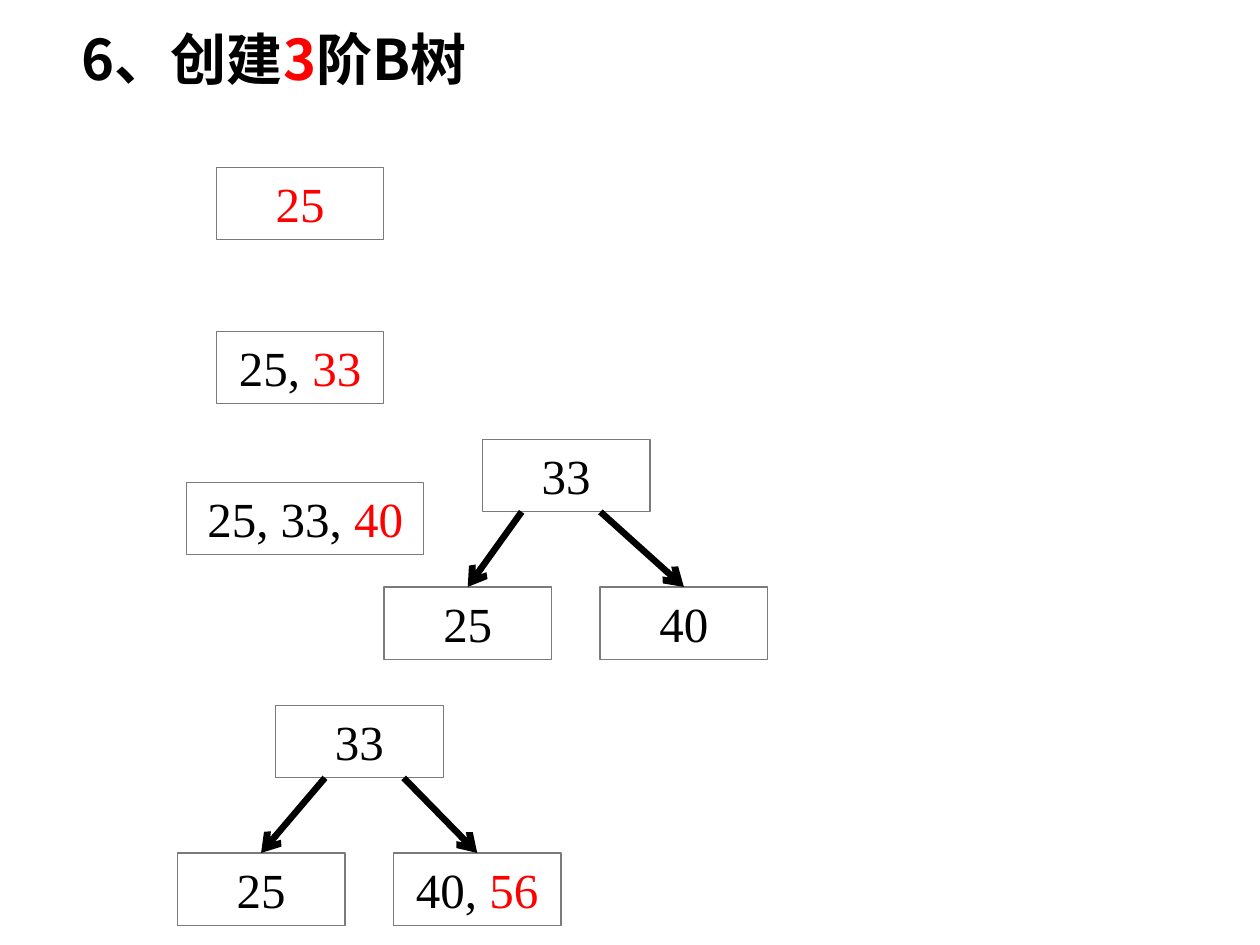
"""Build a slide that shows the first insertions into a B-tree of order 3."""
from lxml.etree import SubElement
from pptx import Presentation
from pptx.dml.color import RGBColor
from pptx.enum.shapes import MSO_CONNECTOR as CXN, MSO_SHAPE as SHAPE
from pptx.enum.text import MSO_ANCHOR as ANCHOR, MSO_AUTO_SIZE as AUTO, PP_ALIGN as ALIGN
from pptx.oxml.ns import qn
from pptx.util import Pt

BLACK = RGBColor(0x00, 0x00, 0x00)
RED = RGBColor(0xFF, 0x00, 0x00)
GRAY = RGBColor(0x79, 0x7B, 0x7E)

TITLE_FONT = {"name": "Noto Sans CJK SC", "size": Pt(32), "bold": True}
KEY_FONT = {"name": "Times New Roman", "size": Pt(28)}
TITLE_FRAME = {"word_wrap": True, "vertical_anchor": ANCHOR.MIDDLE}
NODE_FRAME = {"word_wrap": True, "vertical_anchor": ANCHOR.TOP,
              "auto_size": AUTO.SHAPE_TO_FIT_TEXT}

NODE_W, NODE_H = 95.8, 41.3
CHILD_DX = (-56.2, 67.3)
CHILD_DY = 84.2
ARROW_GAP = 45


def set_attrs(obj, values):
    for name, value in values.items():
        setattr(obj, name, value)


def write_runs(p, runs, font):
    for text, color in runs:
        r = p.add_run()
        r.text = text
        set_attrs(r.font, font)
        r.font.color.rgb = color
        SubElement(r.font._element, qn("a:ea"), typeface=font["name"])


def add_title(shapes, runs):
    tf = shapes.add_textbox(Pt(39.6), Pt(11.5), Pt(591.8), Pt(43.2)).text_frame
    set_attrs(tf, TITLE_FRAME)
    write_runs(tf.paragraphs[0], runs, TITLE_FONT)


def add_node(shapes, x, y, runs, width=NODE_W):
    sp = shapes.add_shape(SHAPE.RECTANGLE, Pt(x), Pt(y), Pt(width), Pt(NODE_H))
    sp.shadow.inherit = False
    sp.fill.background()
    sp.line.color.rgb = GRAY
    sp.line.width = Pt(0.75)
    set_attrs(sp.text_frame, NODE_FRAME)
    p = sp.text_frame.paragraphs[0]
    p.alignment = ALIGN.CENTER
    write_runs(p, runs, KEY_FONT)
    return sp


def add_arrow(shapes, x, y, child):
    cxn = shapes.add_connector(CXN.STRAIGHT, Pt(x), Pt(y),
                               child.left + child.width // 2, child.top)
    cxn.end_connect(child, 0)
    cxn.line.color.rgb = BLACK
    cxn.line.width = Pt(3.75)
    SubElement(cxn.line._get_or_add_ln(), qn("a:tailEnd"), type="arrow")
    SubElement(cxn._element.spPr, qn("a:effectLst"))


def add_tree(shapes, x, y, root, children, arrow_dx):
    group = shapes.add_group_shape().shapes
    nodes = [add_node(group, x + dx, y + CHILD_DY, runs)
             for dx, runs in zip(CHILD_DX, children)]
    add_node(group, x, y, root)
    for i, node in enumerate(nodes):
        add_arrow(group, x + arrow_dx + i * ARROW_GAP, y + NODE_H, node)


def main():
    prs = Presentation()
    prs.slide_width, prs.slide_height = Pt(720), Pt(540)
    shapes = prs.slides.add_slide(prs.slide_layouts[6]).shapes

    add_title(shapes, [("6、创建", BLACK), ("3", RED), ("阶B树", BLACK)])
    add_node(shapes, 123.6, 95.6, [("25", RED)])
    add_node(shapes, 123.6, 189.3, [("25, ", BLACK), ("33", RED)])
    add_node(shapes, 106.7, 275.6, [("25, 33, ", BLACK), ("40", RED)], width=135.4)

    root, left = [("33", BLACK)], [("25", BLACK)]
    add_tree(shapes, 275.6, 251.2, root, [left, [("40", BLACK)]], 22.5)
    add_tree(shapes, 157.5, 403.2, root, [left, [("40, ", BLACK), ("56", RED)]], 28.2)

    prs.save("out.pptx")


if __name__ == "__main__":
    main()
